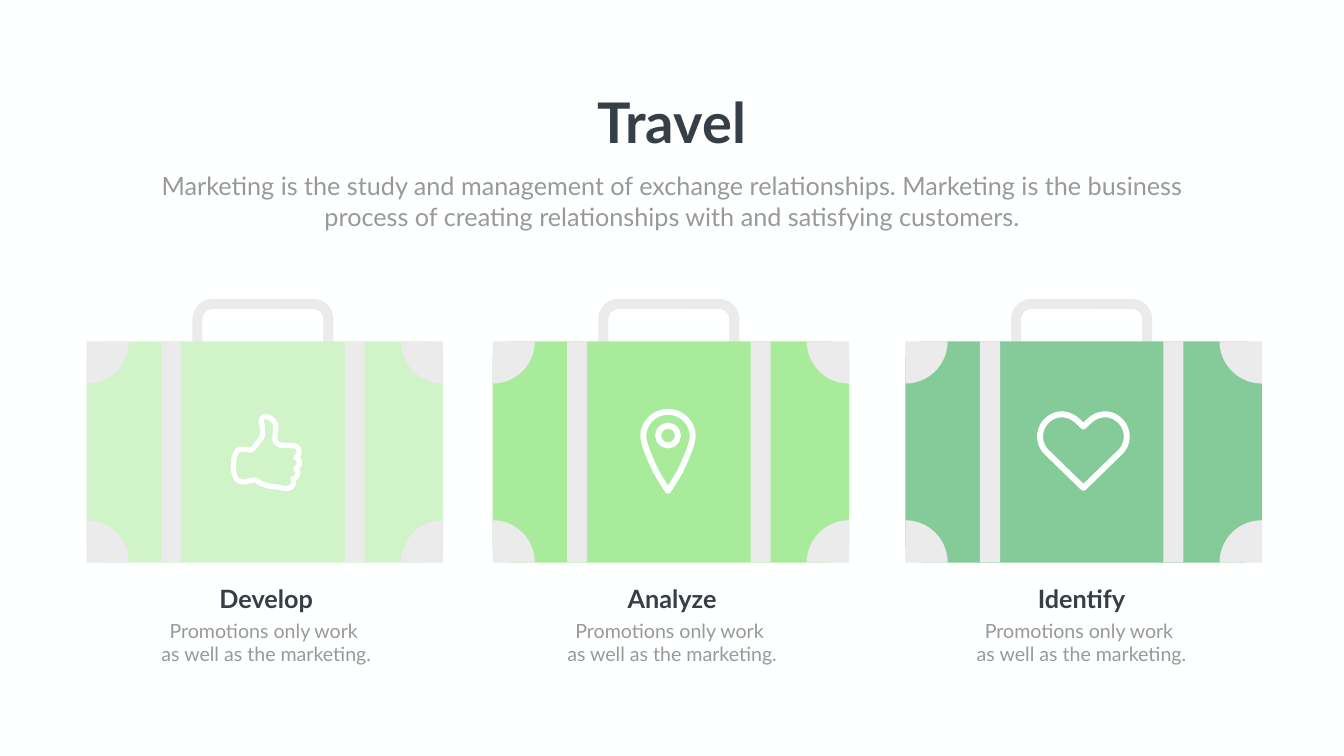
import math

import pptx
import pptx.dml.color
import pptx.enum.shapes
import pptx.enum.text
import pptx.util
from pptx.util import Cm

SHAPE = pptx.enum.shapes.MSO_SHAPE

TRIM = "EBEBEB"
WHITE = "FEFFFF"
DARK = "363E48"
GREY = "999999"

CASE_TOP, CASE_WIDTH, CASE_HEIGHT = 17.2, 17.96, 11.15
CORNER_RADIUS = 2.13
BAND_OFFSETS, BAND_WIDTH = (3.76, 13), 1.01
ICON_TOP = 20.73
ICON_UNIT = Cm(2.54) / 100

# Icon outlines: a pair is a straight step, six numbers are a cubic curve.
THUMB = [
    (107, 153), (100, 152, 95, 150, 90, 150), (88, 149, 85, 149, 82, 149),
    (75, 148, 61, 146, 50, 136), (46, 136, 39, 137, 33, 139), (28, 140),
    (22, 141, 16, 139, 12, 135), (8, 130, 5, 120, 5, 108),
    (5, 90, 10, 82, 13, 78), (15, 76, 17, 75, 19, 75), (41, 77),
    (43, 76, 47, 70, 52, 64), (62, 52, 63, 49, 63, 45),
    (63, 29, 62, 26, 61, 23), (60, 19, 60, 12, 67, 11),
    (76, 9, 85, 17, 89, 27), (90, 32, 89, 39, 88, 46),
    (87, 54, 87, 60, 91, 63), (97, 68, 105, 68, 114, 68),
    (118, 68, 123, 68, 127, 69), (134, 71, 136, 75, 135, 83),
    (135, 86, 132, 89, 129, 91), (134, 94, 136, 98, 136, 102),
    (136, 107, 134, 110, 129, 113), (131, 117, 133, 122, 132, 126),
    (131, 130, 128, 132, 123, 134), (125, 139, 125, 146, 120, 150),
    (118, 152, 113, 153, 107, 153),
]
HALF_PIN = [(0, 158), (-9, 144, -20, 127, -25, 117),
            (-39, 87, -49, 62, -49, 49), (-49, 23, -27, 1, 0, 1)]
HALF_HEART = [(0, 152), (-73, 81), (-81, 73, -86, 62, -86, 50),
              (-86, 39, -81, 27, -74, 20), (-65, 11, -55, 6, -43, 6),
              (-32, 6, -20, 11, -12, 19), (0, 30)]


def colour(hex_code):
    return pptx.dml.color.RGBColor.from_string(hex_code)


def trace(outline, steps=10):
    """Turn an outline of straight steps and cubic curves into points."""
    points = [outline[0]]
    for step in outline[1:]:
        if len(step) == 2:
            points.append(step)
            continue
        knots = [points[-1], step[:2], step[2:4], step[4:]]
        for i in range(1, steps + 1):
            t = i / steps
            weights = [math.comb(3, k) * t**k * (1 - t)**(3 - k) for k in range(4)]
            points.append(tuple(sum(w * knot[axis] for w, knot in zip(weights, knots))
                                for axis in (0, 1)))
    return points


def mirrored(half):
    """Close the left half of an outline with its mirror image."""
    points = trace(half)
    return points + [(-x, y) for x, y in reversed(points)]


class TravelSlide:
    font = "Lato"

    def __init__(self, deck):
        self.slide = deck.slides.add_slide(deck.slide_layouts[6])
        background = self.slide.background.fill
        background.solid()
        background.fore_color.rgb = colour(WHITE)

    def paint(self, shape, fill=None, line=None, weight=0):
        shape.shadow.inherit = False
        if fill:
            shape.fill.solid()
            shape.fill.fore_color.rgb = colour(fill)
        else:
            shape.fill.background()
        if line:
            shape.line.color.rgb = colour(line)
            shape.line.width = pptx.util.Pt(weight)
        else:
            shape.line.fill.background()

    def preset(self, kind, left, top, width, height, radius=None, **look):
        shape = self.slide.shapes.add_shape(
            kind, Cm(left), Cm(top), Cm(width), Cm(height))
        if radius:
            shape.adjustments[0] = radius / min(width, height)
        self.paint(shape, **look)

    def outline(self, points, left, top, unit, **look):
        """Draw a closed outline whose points count in units from left, top."""
        scaled = [(x * unit, y * unit) for x, y in points]
        builder = self.slide.shapes.build_freeform(*scaled[0])
        builder.add_line_segments(scaled[1:], close=True)
        self.paint(builder.convert_to_shape(Cm(left), Cm(top)), **look)

    def text(self, words, left, top, width, height, size, ink, bold=False):
        frame = self.slide.shapes.add_textbox(
            Cm(left), Cm(top), Cm(width), Cm(height)).text_frame
        frame.word_wrap = True
        frame.text = words
        for paragraph in frame.paragraphs:
            paragraph.alignment = pptx.enum.text.PP_ALIGN.CENTER
            for run in paragraph.runs:
                run.font.name = self.font
                run.font.size = pptx.util.Pt(size)
                run.font.bold = bold
                run.font.color.rgb = colour(ink)

    def suitcase(self, left, body):
        self.preset(SHAPE.ROUNDED_RECTANGLE, left + 5.58, 15.32, 6.6, 2.64,
                    radius=0.76, line=TRIM, weight=14.4)
        self.preset(SHAPE.ROUNDED_RECTANGLE, left, CASE_TOP, CASE_WIDTH, CASE_HEIGHT,
                    radius=0.91, fill=body)
        for offset in BAND_OFFSETS:
            self.preset(SHAPE.RECTANGLE, left + offset, CASE_TOP,
                        BAND_WIDTH, CASE_HEIGHT, fill=TRIM)
        arc = [math.radians(angle) for angle in range(0, 91, 5)]
        for x, inward in ((left, 1), (left + CASE_WIDTH, -1)):
            for y, down in ((CASE_TOP, 1), (CASE_TOP + CASE_HEIGHT, -1)):
                quarter = [(0, 0)] + [(inward * math.cos(a), down * math.sin(a))
                                      for a in arc]
                self.outline(quarter, x, y, Cm(CORNER_RADIUS), fill=TRIM)

    def icon(self, points, left, weight):
        self.outline(points, left, ICON_TOP, ICON_UNIT, line=WHITE, weight=weight)

    def caption(self, centre, heading, note):
        self.text(heading, centre - 3.32, 29.29, 6.63, 1.8, 36, DARK, bold=True)
        self.text(note, centre - 6.28, 31.06, 12.55, 2.64, 28, GREY)


def main():
    deck = pptx.Presentation()
    deck.slide_width, deck.slide_height = Cm(67.72), Cm(38.1)
    travel = TravelSlide(deck)

    travel.text("Travel", 29.59, 4.29, 8.53, 3.68, 80, DARK, bold=True)
    travel.text("Marketing is the study and management of exchange relationships. "
                "Marketing is the business process of creating relationships with "
                "and satisfying customers.", 6.81, 8.48, 54.1, 3.33, 36, GREY)

    stages = [
        ("Develop", "D0F3C8", 4.37, 13.42, trace(THUMB), 11.63, 7.5),
        ("Analyze", "A7EB9B", 24.82, 33.87, mirrored(HALF_PIN), 33.66, 8.5),
        ("Identify", "84CB99", 45.62, 54.5, mirrored(HALF_HEART), 54.59, 8.5),
    ]
    for heading, body, left, centre, icon, icon_left, weight in stages:
        travel.suitcase(left, body)
        travel.icon(icon, icon_left, weight)
        travel.caption(centre, heading,
                       "Promotions only work \nas well as the marketing.")
    travel.preset(SHAPE.OVAL, 33.16, 21.45, 1, 1, line=WHITE, weight=8.5)

    deck.save("out.pptx")


if __name__ == "__main__":
    main()
